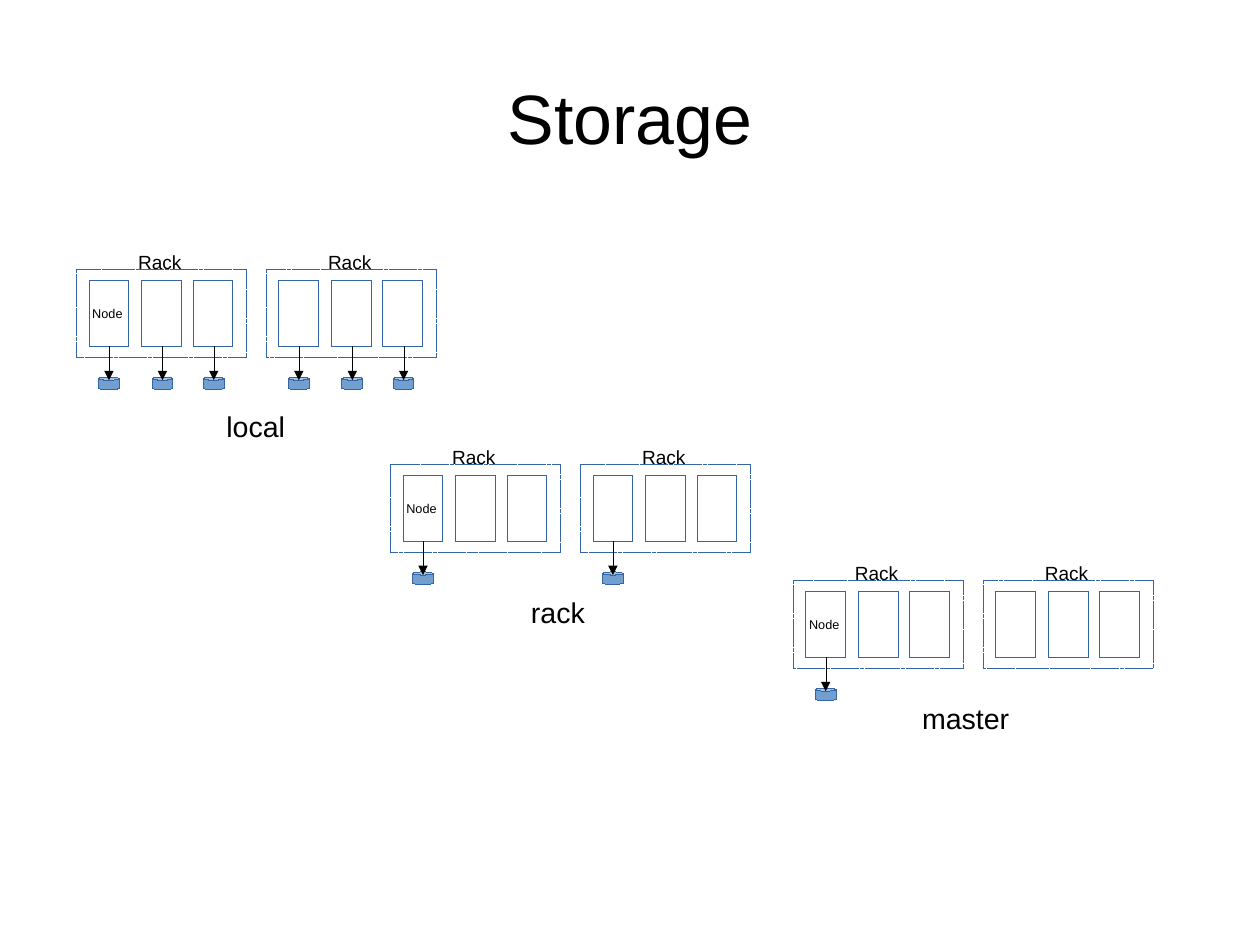
import pptx
import pptx.util
import pptx.dml.color
import pptx.enum.dml
import pptx.enum.shapes
import pptx.enum.text
import pptx.oxml
import pptx.oxml.ns

Cm = pptx.util.Cm
Pt = pptx.util.Pt
Kind = pptx.enum.shapes.MSO_SHAPE
Align = pptx.enum.text.PP_ALIGN
Anchor = pptx.enum.text.MSO_ANCHOR

BLUE = "3465A4"
DISK = "729FCF"
BLACK = "000000"

# Offsets inside a rack
NODES = (0.28, 1.45, 2.59)
DISKS = (0.72, 1.91, 3.05)


def color(code):
    return pptx.dml.color.RGBColor.from_string(code)


class Board:
    font = "Arial"

    def __init__(self, slide):
        self.slide = slide

    def stroke(self, item, code):
        item.line.color.rgb = color(code)
        # A hairline needs the zero width written out
        edge = item.line._get_or_add_ln()
        edge.set("w", "0")
        return edge

    def shape(self, kind, x, y, w, h, fill=None, dash=False):
        item = self.slide.shapes.add_shape(kind, Cm(x), Cm(y), Cm(w), Cm(h))
        item.shadow.inherit = False
        if fill:
            item.fill.solid()
            item.fill.fore_color.rgb = color(fill)
        else:
            item.fill.background()
        self.stroke(item, BLUE)
        if dash:
            item.line.dash_style = pptx.enum.dml.MSO_LINE.SQUARE_DOT

    def text(self, words, size, x, y, w, h, title=False):
        box = self.slide.shapes.add_textbox(Cm(x), Cm(y), Cm(w), Cm(h))
        frame = box.text_frame
        frame.word_wrap = True
        para = frame.paragraphs[0]
        if title:
            frame.vertical_anchor = Anchor.MIDDLE
            para.alignment = Align.CENTER
        run = para.add_run()
        run.text = words
        run.font.name = self.font
        run.font.size = Pt(size)
        run.font.color.rgb = color(BLACK)

    def arrow(self, x, top, end):
        line = self.slide.shapes.add_connector(
            pptx.enum.shapes.MSO_CONNECTOR.STRAIGHT,
            Cm(x), Cm(top), Cm(x), Cm(end))
        space = pptx.oxml.ns.nsdecls("a")
        self.stroke(line, BLACK).append(
            pptx.oxml.parse_xml(f'<a:tailEnd {space} type="triangle"/>'))
        line._element.spPr.append(
            pptx.oxml.parse_xml(f"<a:effectLst {space}/>"))

    def disk(self, x, y):
        """Storage below a node, with its arrow; x is the centre."""
        self.shape(Kind.CAN, x - 0.23, y + 2.39, 0.46, 0.28, DISK)
        self.arrow(x, y + 1.7, y + 2.46)

    def rack(self, x, y, disks, named):
        for left in NODES:
            self.shape(Kind.RECTANGLE, x + left, y + 0.25, 0.88, 1.46)
        if named:
            self.text("Node", 8, x + 0.1, y + 0.69, 1.19, 0.64)
        self.shape(Kind.RECTANGLE, x, y, 3.78, 1.96, dash=True)
        for mid in DISKS[:disks]:
            self.disk(x + mid, y)
        self.text("Rack", 12, x + 1.12, y - 0.55, 1.65, 0.74)


def main():
    deck = pptx.Presentation()
    deck.slide_width = Cm(28)
    deck.slide_height = Cm(21)
    board = Board(deck.slides.add_slide(deck.slide_layouts[6]))

    # Title
    board.text("Storage", 44, 1.4, 0.84, 25.2, 3.5, title=True)

    # Layouts: caption, its place, first rack, disks in each rack
    plans = [
        ("local", 4.78, 8.97, 1.7, 5.99, (3, 3)),
        ("rack", 11.55, 13.1, 8.68, 10.32, (1, 1)),
        ("master", 20.24, 15.46, 17.63, 12.9, (1, 0)),
    ]
    for name, left, top, x, y, counts in plans:
        for i, disks in enumerate(counts):
            board.rack(x + 4.22 * i, y, disks, named=i == 0)
        board.text(name, 18, left, top, 2.54, 0.97)

    deck.save("out.pptx")


if __name__ == "__main__":
    main()
